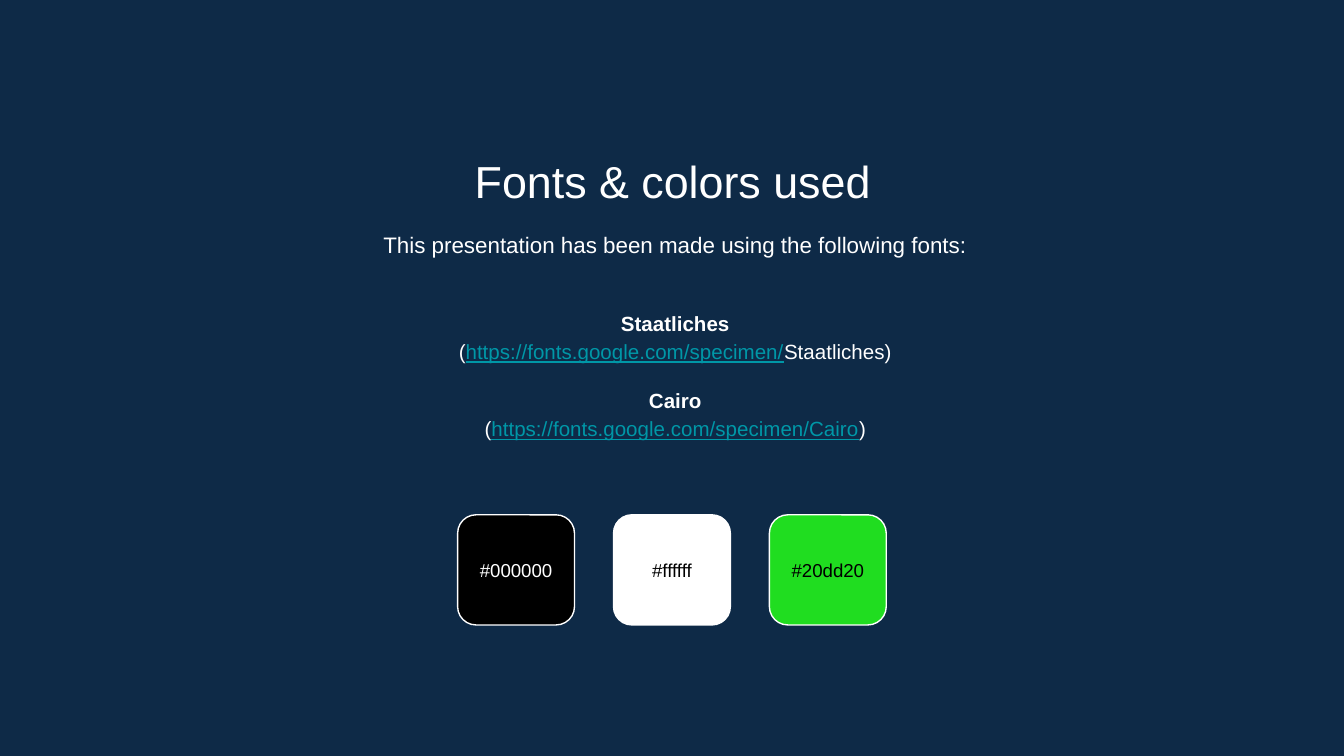
"""Build the slide that lists the fonts and colors used."""
from dataclasses import dataclass
from typing import NamedTuple

from pptx import Presentation
from pptx.dml.color import RGBColor
from pptx.enum import shapes, text
from pptx.util import Pt


@dataclass(frozen=True)
class Theme:
    font: str = "Arial"
    background: str = "0E2A47"
    light: str = "FFFFFF"
    dark: str = "000000"
    link: str = "0097A7"
    title_size: float = 24
    intro_size: float = 12
    body_size: float = 11
    label_size: float = 10
    line_spacing: float = 1.15


class Box(NamedTuple):
    left: float
    top: float
    width: float
    height: float


class FontSource(NamedTuple):
    name: str
    address: str
    ending: str


class Swatch(NamedTuple):
    color: str
    label_color: str


THEME = Theme()
SLIDE_WIDTH, SLIDE_HEIGHT = 720, 405
INSET = 7.2
FONT_GAP = 11
SWATCH_WIDTH, SWATCH_HEIGHT, SWATCH_TOP, SWATCH_STEP = 62.6, 59, 275.8, 83.5
TITLE_BOX = Box(82.8, 74.9, 555.1, 38.2)
INTRO_BOX = Box(84.2, 114.5, 555.1, 34.6)
SOURCES_BOX = Box(84.2, 151.2, 555.1, 98.6)
SOURCES = [
    FontSource("Staatliches", "https://fonts.google.com/specimen/", "Staatliches)"),
    FontSource("Cairo", "https://fonts.google.com/specimen/Cairo", ")"),
]
SWATCHES = [
    Swatch("000000", THEME.light),
    Swatch("ffffff", THEME.dark),
    Swatch("20dd20", THEME.dark),
]


def rgb(color: str) -> RGBColor:
    return RGBColor.from_string(color.upper())


def prepare_frame(frame, anchor) -> None:
    frame.word_wrap = True
    frame.auto_size = text.MSO_AUTO_SIZE.NONE
    frame.vertical_anchor = anchor
    frame.margin_left = frame.margin_right = Pt(INSET)
    frame.margin_top = frame.margin_bottom = Pt(INSET)


def style_paragraph(paragraph, size: float, color: str, spacing: float = 1, bold: bool = False) -> None:
    paragraph.alignment = text.PP_ALIGN.CENTER
    paragraph.line_spacing = spacing
    paragraph.space_before = Pt(0)
    paragraph.font.name = THEME.font
    paragraph.font.size = Pt(size)
    paragraph.font.bold = bold
    paragraph.font.color.rgb = rgb(color)


def add_title(slide, wording: str, box: Box) -> None:
    title = slide.shapes.title
    title.left, title.top, title.width, title.height = map(Pt, box)
    prepare_frame(title.text_frame, text.MSO_ANCHOR.TOP)
    title.text_frame.text = wording
    style_paragraph(title.text_frame.paragraphs[0], THEME.title_size, THEME.light)


def add_frame(slide, box: Box, anchor):
    frame = slide.shapes.add_textbox(*map(Pt, box)).text_frame
    prepare_frame(frame, anchor)
    return frame


def add_intro(slide, wording: str, box: Box) -> None:
    frame = add_frame(slide, box, text.MSO_ANCHOR.TOP)
    frame.text = wording
    style_paragraph(frame.paragraphs[0], THEME.intro_size, THEME.light, THEME.line_spacing)


def add_sources(slide, sources: list[FontSource], box: Box) -> None:
    frame = add_frame(slide, box, text.MSO_ANCHOR.MIDDLE)
    for index, source in enumerate(sources):
        name = frame.add_paragraph() if index else frame.paragraphs[0]
        name.text = source.name
        style_paragraph(name, THEME.body_size, THEME.light, THEME.line_spacing, bold=True)
        name.space_before = Pt(FONT_GAP if index else 0)

        location = frame.add_paragraph()
        style_paragraph(location, THEME.body_size, THEME.light, THEME.line_spacing)
        location.add_run().text = "("
        address = location.add_run()
        address.text = source.address
        address.font.color.rgb = rgb(THEME.link)
        address.font.underline = True
        location.add_run().text = source.ending


def add_swatch(slide, swatch: Swatch, left: float) -> None:
    tile = slide.shapes.add_shape(
        shapes.MSO_SHAPE.ROUNDED_RECTANGLE,
        *map(Pt, Box(left, SWATCH_TOP, SWATCH_WIDTH, SWATCH_HEIGHT)),
    )
    tile.shadow.inherit = False
    tile.fill.solid()
    tile.fill.fore_color.rgb = rgb(swatch.color)
    tile.line.color.rgb = rgb(THEME.light)
    tile.line.width = Pt(0.75)
    prepare_frame(tile.text_frame, text.MSO_ANCHOR.MIDDLE)
    tile.text_frame.text = f"#{swatch.color}"
    style_paragraph(tile.text_frame.paragraphs[0], THEME.label_size, swatch.label_color)


def main() -> None:
    deck = Presentation()
    deck.slide_width, deck.slide_height = Pt(SLIDE_WIDTH), Pt(SLIDE_HEIGHT)
    slide = deck.slides.add_slide(deck.slide_layouts.get_by_name("Title Only"))
    slide.background.fill.solid()
    slide.background.fill.fore_color.rgb = rgb(THEME.background)

    add_title(slide, "Fonts & colors used", TITLE_BOX)
    add_intro(slide, "This presentation has been made using the following fonts:", INTRO_BOX)
    add_sources(slide, SOURCES, SOURCES_BOX)

    row_width = SWATCH_STEP * (len(SWATCHES) - 1) + SWATCH_WIDTH
    row_left = (SLIDE_WIDTH - row_width) / 2
    for index, swatch in enumerate(SWATCHES):
        add_swatch(slide, swatch, row_left + index * SWATCH_STEP)

    deck.save("out.pptx")


if __name__ == "__main__":
    main()
